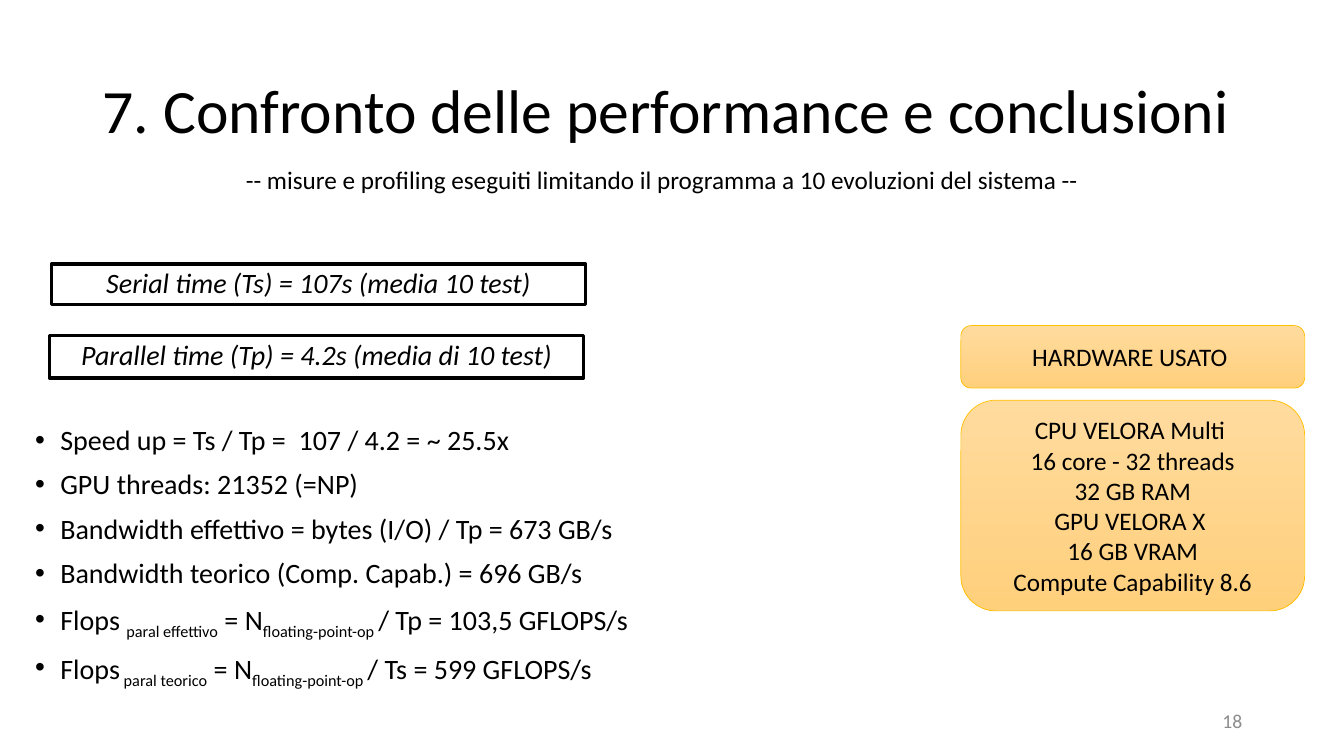
import pptx
import pptx.dml.color
import pptx.enum.shapes
import pptx.enum.text
import pptx.oxml
import pptx.util
from pptx.util import Inches

ALIGN = pptx.enum.text.PP_ALIGN
ANCHOR = pptx.enum.text.MSO_ANCHOR
SHAPE = pptx.enum.shapes.MSO_SHAPE


def color(hex_string):
    return pptx.dml.color.RGBColor.from_string(hex_string)


def write(frame, lines, size=18, ink="000000", italic=False, align=ALIGN.LEFT,
          anchor=ANCHOR.TOP, spacing=1.0, before=0, bullet=False):
    """Fill a frame; a line is a list of strings, every second one a subscript."""
    frame.word_wrap = True
    frame.vertical_anchor = anchor
    for index, parts in enumerate(lines):
        paragraph = frame.paragraphs[0] if index == 0 else frame.add_paragraph()
        paragraph.alignment = align
        paragraph.line_spacing = spacing
        paragraph.space_before = pptx.util.Pt(before)
        if bullet:
            add_bullet(paragraph)
        for position, text in enumerate(parts):
            run = paragraph.add_run()
            run.text = text
            run.font.name = "Calibri"
            run.font.size = pptx.util.Pt(size)
            run.font.italic = italic
            run.font.color.rgb = color(ink)
            if position % 2:
                run._r.get_or_add_rPr().set("baseline", "-25000")


def add_bullet(paragraph):
    properties = paragraph._p.get_or_add_pPr()
    properties.set("marL", str(Inches(0.25)))
    properties.set("indent", str(-Inches(0.25)))
    namespace = pptx.oxml.ns.nsdecls("a")
    for markup in (f'<a:buFont {namespace} typeface="Arial"/>',
                   f'<a:buChar {namespace} char="•"/>'):
        properties.append(pptx.oxml.parse_xml(markup))


class SlideBuilder:
    frame_line = ("000000", 2.25)
    card_line = ("FFC000", 0.5)
    card_gradient = ("FFDB9E", "FFD07C")

    def __init__(self, slide):
        self.slide = slide

    def text(self, box, lines, **style):
        shape = self.slide.shapes.add_textbox(*map(Inches, box))
        write(shape.text_frame, lines, **style)

    def shape(self, kind, box, line):
        shape = self.slide.shapes.add_shape(kind, *map(Inches, box))
        shape.shadow.inherit = False
        shape.line.color.rgb = color(line[0])
        shape.line.width = pptx.util.Pt(line[1])
        return shape

    def time_box(self, box, text):
        shape = self.shape(SHAPE.RECTANGLE, box, self.frame_line)
        shape.fill.background()
        write(shape.text_frame, [[text]], size=20, italic=True,
              align=ALIGN.CENTER, anchor=ANCHOR.MIDDLE, spacing=0.9, before=10)

    def hardware_card(self, top, height, lines):
        shape = self.shape(SHAPE.ROUNDED_RECTANGLE, (9.53, top, 3.41, height),
                           self.card_line)
        shape.fill.gradient()
        shape.fill.gradient_angle = 270
        for stop, shade in zip(shape.fill.gradient_stops, self.card_gradient):
            stop.color.rgb = color(shade)
        write(shape.text_frame, [[line] for line in lines],
              align=ALIGN.CENTER, anchor=ANCHOR.MIDDLE)


def main():
    presentation = pptx.Presentation()
    presentation.slide_width = Inches(13.33)
    presentation.slide_height = Inches(7.5)
    builder = SlideBuilder(
        presentation.slides.add_slide(presentation.slide_layouts[6]))

    builder.text((0.92, 0.4, 11.5, 1.45),
                 [["7. Confronto delle performance e conclusioni"]],
                 size=44, anchor=ANCHOR.MIDDLE, spacing=0.9)
    builder.text((0.25, 4.18, 9.37, 2.72), [
        ["Speed up = Ts / Tp =  107 / 4.2 = ~ 25.5x"],
        ["GPU threads: 21352 (=NP)"],
        ["Bandwidth effettivo = bytes (I/O) / Tp = 673 GB/s"],
        ["Bandwidth teorico (Comp. Capab.) = 696 GB/s"],
        ["Flops ", "paral effettivo", " = N", "floating-point-op ",
         "/ Tp = 103,5 GFLOPS/s"],
        ["Flops", " paral teorico", " = N", "floating-point-op ",
         "/ Ts = 599 GFLOPS/s"],
    ], size=20, spacing=0.9, before=10, bullet=True)
    builder.text((2.34, 1.58, 8.65, 0.4), [[
        "-- misure e profiling eseguiti limitando il programma "
        "a 10 evoluzioni del sistema --"]])

    builder.time_box((0.51, 2.62, 5.3, 0.4),
                     "Serial time (Ts) = 107s (media 10 test)")
    builder.time_box((0.49, 3.33, 5.3, 0.42),
                     "Parallel time (Tp) = 4.2s (media di 10 test)")

    builder.hardware_card(3.23, 0.62, ["HARDWARE USATO "])
    builder.hardware_card(3.97, 2.09, [
        "CPU VELORA Multi ", "16 core - 32 threads", "32 GB RAM",
        "GPU VELORA X ", "16 GB VRAM", "Compute Capability 8.6"])

    builder.text((9.42, 6.95, 3, 0.4), [["18"]], size=14, ink="8C8C8C",
                 align=ALIGN.RIGHT, anchor=ANCHOR.MIDDLE)

    presentation.save("out.pptx")


if __name__ == "__main__":
    main()
